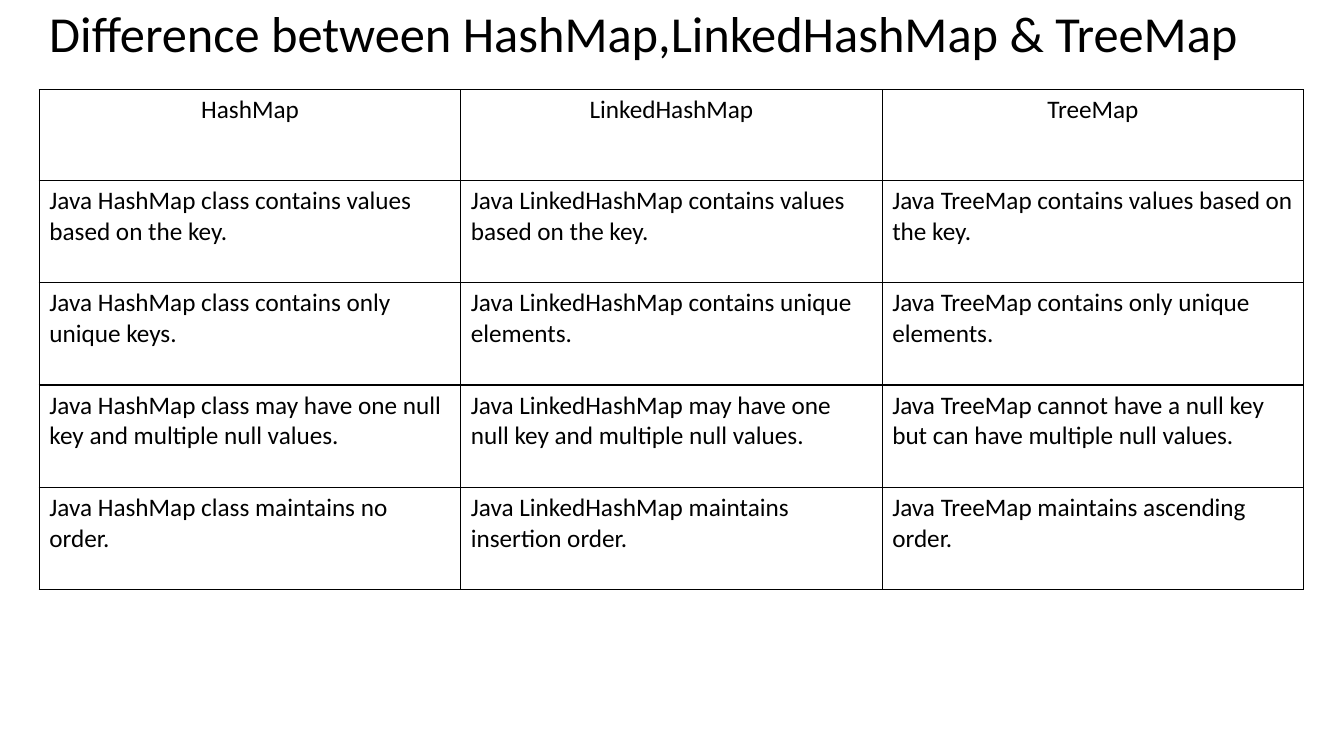
from lxml import etree
from pptx import Presentation
from pptx.dml.color import RGBColor
from pptx.enum import text
from pptx.oxml import ns
from pptx.util import Inches, Pt

TITLE = "Difference between HashMap,LinkedHashMap & TreeMap"
HEADERS = ["HashMap", "LinkedHashMap", "TreeMap"]
ROWS = [
    ("Java HashMap class contains values based on the key.",
     "Java LinkedHashMap contains values based on the key.",
     "Java TreeMap contains values based on the key."),
    ("Java HashMap class contains only unique keys.",
     "Java LinkedHashMap contains unique elements.",
     "Java TreeMap contains only unique elements."),
    ("Java HashMap class may have one null key and multiple null values.",
     "Java LinkedHashMap may have one null key and multiple null values.",
     "Java TreeMap cannot have a null key but can have multiple null values."),
    ("Java HashMap class maintains no order.",
     "Java LinkedHashMap maintains insertion order.",
     "Java TreeMap maintains ascending order."),
]
COLORS = {"ink": "000000", "paper": "FFFFFF"}
FONT = "Calibri"
LEFT, WIDTH = 0.39, 12.54
TABLE_TOP, TABLE_HEIGHT, HEADER_HEIGHT = 0.89, 4.96, 0.9


def write(frame, words, size, align):
    """Put one styled paragraph into a text frame."""
    para = frame.paragraphs[0]
    para.text = words
    para.alignment = align
    para.font.name = FONT
    para.font.size = Pt(size)
    para.font.bold = False
    para.font.color.rgb = RGBColor.from_string(COLORS["ink"])
    return para


def add_borders(cell):
    """Draw a thin line on all four sides of a cell."""
    props = cell._tc.get_or_add_tcPr()
    for index, side in enumerate(("lnL", "lnR", "lnT", "lnB")):
        line = etree.Element(ns.qn("a:" + side), w=str(Pt(1)))
        fill = etree.SubElement(line, ns.qn("a:solidFill"))
        etree.SubElement(fill, ns.qn("a:srgbClr"), val=COLORS["ink"])
        props.insert(index, line)


def add_title(page):
    """Add the heading across the top of the page."""
    box = page.shapes.add_textbox(Inches(LEFT), 0, Inches(WIDTH), Inches(0.72))
    frame = box.text_frame
    frame.word_wrap = True
    frame.vertical_anchor = text.MSO_ANCHOR.MIDDLE
    write(frame, TITLE, 36, text.PP_ALIGN.LEFT).line_spacing = 0.9


def add_comparison(page):
    """Add the table with a header row and equal body rows."""
    content = [HEADERS, *ROWS]
    table = page.shapes.add_table(
        len(content), len(HEADERS), Inches(LEFT), Inches(TABLE_TOP),
        Inches(WIDTH), Inches(TABLE_HEIGHT)).table
    table.first_row = table.horz_banding = False
    body_height = (TABLE_HEIGHT - HEADER_HEIGHT) / len(ROWS)
    for row_index, sentences in enumerate(content):
        is_header = row_index == 0
        table.rows[row_index].height = Inches(HEADER_HEIGHT if is_header else body_height)
        align = text.PP_ALIGN.CENTER if is_header else text.PP_ALIGN.LEFT
        for column_index, sentence in enumerate(sentences):
            cell = table.cell(row_index, column_index)
            cell.fill.solid()
            cell.fill.fore_color.rgb = RGBColor.from_string(COLORS["paper"])
            write(cell.text_frame, sentence, 18, align)
            add_borders(cell)


deck = Presentation()
deck.slide_width, deck.slide_height = Inches(13.33), Inches(7.5)
page = deck.slides.add_slide(deck.slide_layouts[6])
add_title(page)
add_comparison(page)
deck.save("out.pptx")
